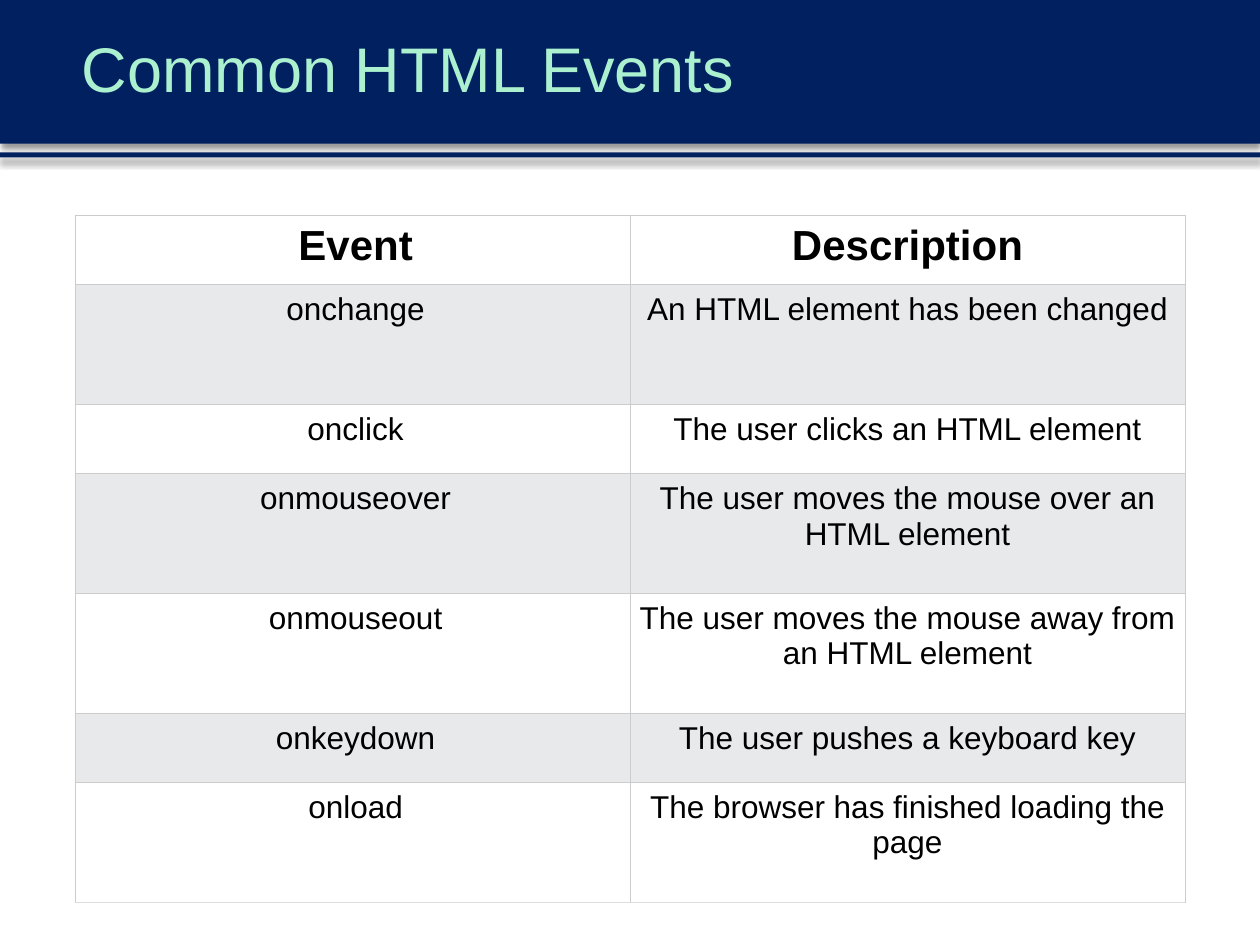
from dataclasses import dataclass

import lxml.etree
import pptx
import pptx.dml.color
import pptx.enum.shapes
import pptx.enum.text
import pptx.oxml
import pptx.oxml.ns
import pptx.util

COLORS = {
    "navy": "002060",
    "mint": "ABF1CF",
    "text": "000000",
    "white": "FFFFFF",
    "band": "E7E9EB",
    "border": "CCCCCC",
    "bottom": "DDDDDD",
}
FONT = "Arial"
WIDTH = pptx.util.Inches(10)
HEIGHT = pptx.util.Inches(7.5)
HEADER_HEIGHT = 1.14
SINGLE_ROW, DOUBLE_ROW = 0.55, 0.95
COLUMN_WIDTH = 4.405


@dataclass(frozen=True)
class Bar:
    top: float
    height: float


@dataclass(frozen=True)
class EventRow:
    event: str
    description: str
    height: float
    size: int = 18
    bold: bool = False


BARS = [Bar(0, HEADER_HEIGHT), Bar(1.21, 0.04)]
ROWS = [
    EventRow("Event", "Description", SINGLE_ROW, 24, True),
    EventRow("onchange", "An HTML element has been changed", DOUBLE_ROW),
    EventRow("onclick", "The user clicks an HTML element", SINGLE_ROW),
    EventRow("onmouseover", "The user moves the mouse over an HTML element", DOUBLE_ROW),
    EventRow("onmouseout", "The user moves the mouse away from an HTML element", DOUBLE_ROW),
    EventRow("onkeydown", "The user pushes a keyboard key", SINGLE_ROW),
    EventRow("onload", "The browser has finished loading the page", DOUBLE_ROW),
]


def color(name: str) -> pptx.dml.color.RGBColor:
    return pptx.dml.color.RGBColor.from_string(COLORS[name])


def add_run(paragraph, text: str, size: int, color_name: str, bold: bool = False) -> None:
    run = paragraph.add_run()
    run.text = text
    run.font.name = FONT
    run.font.size = pptx.util.Pt(size)
    run.font.bold = bold
    run.font.color.rgb = color(color_name)


def add_shadow(shape) -> None:
    """Give the shape a soft shadow that falls straight down."""
    shape.shadow.inherit = False
    effects = shape.element.spPr.find(pptx.oxml.ns.qn("a:effectLst"))
    effects.append(pptx.oxml.parse_xml(
        f'<a:outerShdw {pptx.oxml.ns.nsdecls("a")} blurRad="{pptx.util.Pt(4)}" '
        f'dist="{pptx.util.Pt(3)}" dir="5400000" algn="t" rotWithShape="0">'
        '<a:srgbClr val="000000"><a:alpha val="40000"/></a:srgbClr></a:outerShdw>'
    ))


def add_bar(slide, bar: Bar) -> None:
    """Draw a full-width bar behind the title."""
    shape = slide.shapes.add_shape(
        pptx.enum.shapes.MSO_SHAPE.RECTANGLE,
        0, pptx.util.Inches(bar.top), WIDTH, pptx.util.Inches(bar.height),
    )
    shape.fill.solid()
    shape.fill.fore_color.rgb = color("navy")
    shape.line.fill.background()
    add_shadow(shape)
    slide.shapes.title.element.addprevious(shape.element)


def fill_title(slide, text: str) -> None:
    title = slide.shapes.title
    title.left, title.top = pptx.util.Inches(0.55), 0
    title.width, title.height = WIDTH - title.left, pptx.util.Inches(HEADER_HEIGHT)
    frame = title.text_frame
    frame.auto_size = pptx.enum.text.MSO_AUTO_SIZE.NONE
    frame.vertical_anchor = pptx.enum.text.MSO_ANCHOR.MIDDLE
    paragraph = frame.paragraphs[0]
    paragraph.alignment = pptx.enum.text.PP_ALIGN.LEFT
    paragraph.line_spacing = 0.9
    paragraph.space_after = pptx.util.Pt(6)
    add_run(paragraph, text, 36, "mint")


def set_borders(cell, bottom: str) -> None:
    properties = cell._tc.get_or_add_tcPr()
    for side in "LRTB":
        line = lxml.etree.SubElement(
            properties, pptx.oxml.ns.qn(f"a:ln{side}"), w=str(pptx.util.Pt(0.5))
        )
        fill = lxml.etree.SubElement(line, pptx.oxml.ns.qn("a:solidFill"))
        name = bottom if side == "B" else "border"
        lxml.etree.SubElement(fill, pptx.oxml.ns.qn("a:srgbClr"), val=COLORS[name])


def fill_cell(cell, text: str, row: EventRow, left_inset: float, fill: str, bottom: str) -> None:
    set_borders(cell, bottom)
    cell.fill.solid()
    cell.fill.fore_color.rgb = color(fill)
    cell.margin_left = pptx.util.Inches(left_inset)
    cell.margin_right = cell.margin_top = cell.margin_bottom = pptx.util.Inches(0.06)
    paragraph = cell.text_frame.paragraphs[0]
    paragraph.alignment = pptx.enum.text.PP_ALIGN.CENTER
    add_run(paragraph, text, row.size, "text", row.bold)


def add_event_table(slide, rows: list[EventRow]) -> None:
    table = slide.shapes.add_table(
        len(rows), 2,
        pptx.util.Inches(0.595), pptx.util.Inches(1.71),
        pptx.util.Inches(2 * COLUMN_WIDTH),
        pptx.util.Inches(sum(row.height for row in rows)),
    ).table
    table.first_row = table.horz_banding = False
    for index, row in enumerate(rows):
        table.rows[index].height = pptx.util.Inches(row.height)
        fill = "band" if index % 2 else "white"
        bottom = "bottom" if row is rows[-1] else "border"
        fill_cell(table.cell(index, 0), row.event, row, 0.11, fill, bottom)
        fill_cell(table.cell(index, 1), row.description, row, 0.06, fill, bottom)


def main() -> None:
    presentation = pptx.Presentation()
    presentation.slide_width, presentation.slide_height = WIDTH, HEIGHT
    slide = presentation.slides.add_slide(presentation.slide_layouts.get_by_name("Title Only"))
    for bar in BARS:
        add_bar(slide, bar)
    fill_title(slide, "Common HTML Events")
    add_event_table(slide, ROWS)
    presentation.save("out.pptx")


if __name__ == "__main__":
    main()
